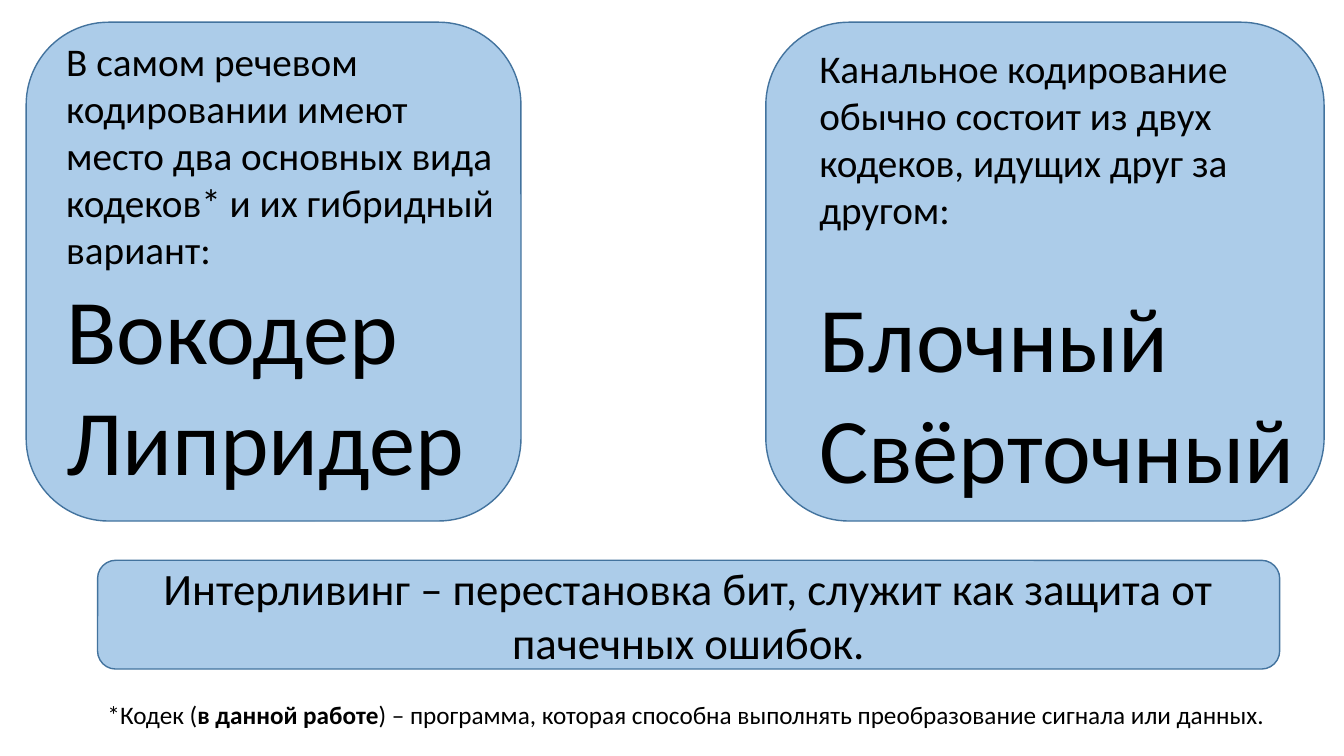
from lxml import etree
from pptx import Presentation
from pptx import util as u
from pptx.dml.color import RGBColor
from pptx.enum import shapes, text
from pptx.oxml.ns import qn

COLORS = {"panel": "5B9BD5", "outline": "43739E", "text": "000000", "background": "FFFFFF"}
FONT = "Calibri"
PANEL_TOP, PANEL_HEIGHT = 0.56, 12.57
BODY_SIZE, TERM_SIZE, BANNER_SIZE, NOTE_SIZE = 28, 66, 32, 18


def color(name):
    return RGBColor.from_string(COLORS[name])


def box(left, top, width, height):
    return [u.Cm(length) for length in (left, top, width, height)]


def add_panel(slide, *place):
    """Add a half-transparent rounded rectangle."""
    panel = slide.shapes.add_shape(shapes.MSO_SHAPE.ROUNDED_RECTANGLE, *box(*place))
    panel.shadow.inherit = False
    panel.fill.solid()
    panel.fill.fore_color.rgb = color("panel")
    fill_color = panel.fill._xPr.find(qn("a:solidFill"))[0]
    etree.SubElement(fill_color, qn("a:alpha"), val="50000")
    panel.line.color.rgb = color("outline")
    panel.line.width = u.Pt(1)
    return panel


def write(shape, paragraphs, wrap=True, align=text.PP_ALIGN.LEFT):
    """Fill a shape with (size, runs, space before) paragraphs; a run is (words, bold)."""
    frame = shape.text_frame
    frame.word_wrap = wrap
    for index, (size, runs, space_before) in enumerate(paragraphs):
        paragraph = frame.paragraphs[0] if index == 0 else frame.add_paragraph()
        paragraph.alignment = align
        paragraph.space_before = u.Pt(space_before)
        for words, bold in runs:
            run = paragraph.add_run()
            run.text = words
            run.font.name = FONT
            run.font.size = u.Pt(size)
            run.font.bold = bold
            run.font.color.rgb = color("text")


def plain(size, words, space_before=0):
    return size, [(words, False)], space_before


def add_text(slide, place, paragraphs, wrap=True):
    text_box = slide.shapes.add_textbox(*box(*place))
    write(text_box, paragraphs, wrap)
    text_box.text_frame.auto_size = text.MSO_AUTO_SIZE.SHAPE_TO_FIT_TEXT


def add_banner(slide, place, words):
    banner = add_panel(slide, *place)
    write(banner, [plain(BANNER_SIZE, words)], align=text.PP_ALIGN.CENTER)
    banner.text_frame.vertical_anchor = text.MSO_ANCHOR.MIDDLE


def main():
    presentation = Presentation()
    presentation.slide_width, presentation.slide_height = u.Cm(33.87), u.Cm(19.05)
    slide = presentation.slides.add_slide(presentation.slide_layouts[6])
    slide.background.fill.solid()
    slide.background.fill.fore_color.rgb = color("background")

    for left, width in ((19.3, 14.07), (0.66, 12.47)):
        add_panel(slide, left, PANEL_TOP, width, PANEL_HEIGHT)

    add_text(slide, (1.42, 0.81, 11.68, 12.07), [
        plain(BODY_SIZE, "В самом речевом кодировании имеют место два основных вида "
                         "кодеков* и их гибридный вариант:"),
        plain(TERM_SIZE, "Вокодер"),
        plain(TERM_SIZE, "Липридер"),
    ])
    channel_lines = ("Канальное кодирование", "обычно состоит из двух",
                     "кодеков, идущих друг за", "другом:")
    add_text(slide, (20.4, 0.99, 12.62, 11.89), [
        *(plain(BODY_SIZE, line) for line in channel_lines),
        plain(TERM_SIZE, "Блочный", space_before=34),
        plain(TERM_SIZE, "Свёрточный"),
    ], wrap=False)
    add_text(slide, (2.46, 17.5, 30.56, 1.02), [
        (NOTE_SIZE, [
            ("*Кодек (", False),
            ("в данной работе", True),
            (") – программа, которая способна выполнять преобразование сигнала или данных.", False),
        ], 0),
    ], wrap=False)
    add_banner(slide, (2.46, 14.12, 29.79, 2.74),
               "Интерливинг – перестановка бит, служит как защита от пачечных ошибок.")

    presentation.save("out.pptx")


if __name__ == "__main__":
    main()
